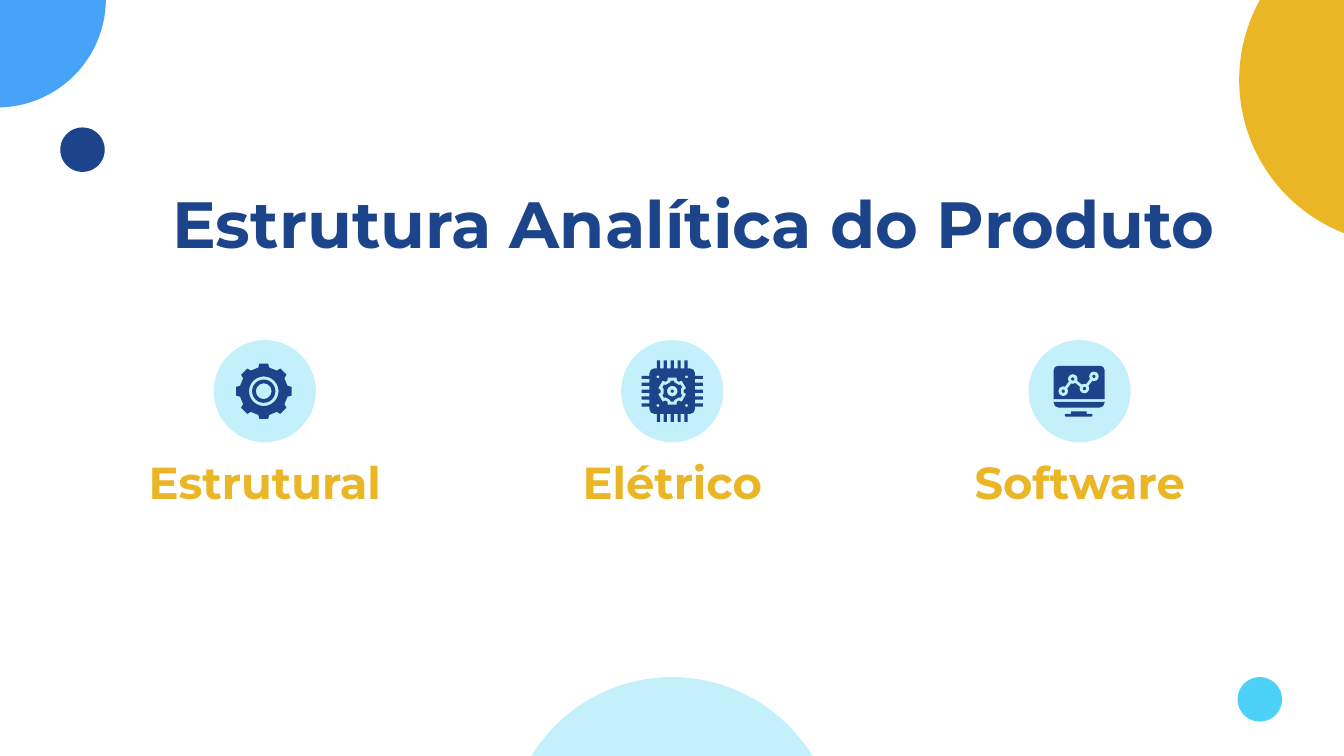
from math import cos, pi, radians, sin

from lxml.etree import SubElement
from pptx import Presentation
from pptx.dml.color import RGBColor as Rgb
from pptx.enum.shapes import MSO_CONNECTOR as Link, MSO_SHAPE as Kind
from pptx.enum.text import MSO_ANCHOR as Anchor, PP_ALIGN as Align
from pptx.oxml.ns import qn
from pptx.util import Cm, Pt

FONT = "Montserrat"
COLORS = {"navy": "1C448A", "gold": "EAB625", "blue": "47A3F7",
          "cyan": "4CD2F8", "pale": "C4F0FD"}


def color(name):
    return Rgb.from_string(COLORS[name])


def paint(shape, name, alpha=None):
    shape.shadow.inherit = False
    shape.fill.solid()
    shape.fill.fore_color.rgb = color(name)
    shape.line.fill.background()
    if alpha:
        tint = shape.fill._xPr.find(".//" + qn("a:srgbClr"))
        SubElement(tint, qn("a:alpha")).set("val", str(alpha * 1000))
    return shape


def disc(slide, x, y, size, name, alpha=None, kind=Kind.OVAL):
    shape = slide.shapes.add_shape(kind, Cm(x), Cm(y), Cm(size), Cm(size))
    return paint(shape, name, alpha)


def label(slide, text, box, size, name):
    frame = slide.shapes.add_textbox(*map(Cm, box)).text_frame
    frame.word_wrap = True
    frame.vertical_anchor = Anchor.MIDDLE
    frame.margin_top = frame.margin_bottom = Cm(0.25)
    frame.text = text
    para = frame.paragraphs[0]
    para.alignment = Align.CENTER
    font = para.runs[0].font
    font.name, font.size, font.bold = FONT, Pt(size), True
    font.color.rgb = color(name)


# Contours: lists of points in cm around the icon centre
def ring(r, x=0, y=0, steps=24):
    turns = [2 * pi * i / steps for i in range(steps)]
    return [(x + r * cos(a), y + r * sin(a)) for a in turns]


def gear(teeth, tip, root, half, base):
    """Teeth reach tip, half and base are their half angles in degrees."""
    step = 360 / teeth
    rim = [(-half, tip), (half, tip), (base, root), (step - base, root)]
    turns = [(radians(i * step + a - 90), r) for i in range(teeth) for a, r in rim]
    return [(r * cos(a), r * sin(a)) for a, r in turns]


def panel(x, y, w, h, top=0, bottom=0):
    """Rectangle with its own corner radius at the top and at the bottom."""
    corners = [(x + w - top, y + top, top, -90),
               (x + w - bottom, y + h - bottom, bottom, 0),
               (x + bottom, y + h - bottom, bottom, 90),
               (x + top, y + top, top, 180)]
    return [(cx + r * cos(radians(a + d)), cy + r * sin(radians(a + d)))
            for cx, cy, r, a in corners for d in ((0, 45, 90) if r else (0,))]


def outline(slide, x, y, *paths):
    """One navy shape; a contour inside another one is a hole."""
    pen = None
    for path in paths:
        dots = [(Cm(x + px), Cm(y + py)) for px, py in path]
        if pen is None:
            pen = slide.shapes.build_freeform(*dots[0])
        else:
            pen.move_to(*dots[0])
        pen.add_line_segments(dots[1:], close=True)
    return paint(pen.convert_to_shape(), "navy")


# Icons, each around the centre x, y
def cog(slide, x, y):
    x -= 0.02
    outline(slide, x, y, gear(8, 0.53, 0.46, 9, 13), ring(0.28))
    band = disc(slide, x - 0.22, y - 0.22, 0.44, "navy", kind=Kind.DONUT)
    band.adjustments[0] = 0.16


def chip(slide, x, y):
    pins = []
    for i in range(-2, 3):
        mid = i * 0.13 - 0.03
        for near in (0.43, -0.58):
            pins.append(panel(mid, near, 0.06, 0.15))
            pins.append(panel(near, mid, 0.15, 0.06))
    holes = [ring(0.03, dx, dy, 6) for dx in (-0.27, 0.27) for dy in (-0.27, 0.27)]
    outline(slide, x, y, panel(-0.43, -0.43, 0.86, 0.86, 0.09, 0.09),
            gear(6, 0.27, 0.22, 18, 24), *holes, *pins)
    outline(slide, x, y, gear(6, 0.2, 0.17, 8, 14), ring(0.1, steps=16))
    disc(slide, x - 0.03, y - 0.03, 0.06, "navy")


def screen(slide, x, y):
    x -= 0.01
    outline(slide, x, y, panel(-0.48, -0.48, 0.96, 0.63, top=0.08),
            panel(-0.48, 0.2, 0.96, 0.11, bottom=0.09),
            panel(-0.15, 0.38, 0.29, 0.05),
            panel(-0.27, 0.43, 0.52, 0.05, 0.02, 0.02))
    # Line graph on the screen
    nodes = [(x + dx, y + dy) for dx, dy in
             [(-0.3, 0), (-0.12, -0.23), (0.1, -0.05), (0.28, -0.28)]]
    for start, end in zip(nodes, nodes[1:]):
        line = slide.shapes.add_connector(Link.STRAIGHT, *map(Cm, start + end))
        line.line.color.rgb = color("pale")
        line.line.width = Pt(1.5)
        SubElement(line._element.spPr, qn("a:effectLst"))
    for r, name in ((0.09, "pale"), (0.03, "navy")):
        for nx, ny in nodes:
            disc(slide, nx - r, ny - r, 2 * r, name)


# Regions
def decor(slide, wide, high):
    big, small = 6.22, 0.84
    disc(slide, (wide - big) / 2, high - 1.49, big, "cyan", 33)
    pie = disc(slide, -2.11, -2.08, 4.11, "blue", kind=Kind.PIE)
    pie.adjustments[0], pie.adjustments[1] = 108, 162
    pie.rotation = 180
    disc(slide, wide - 1.98, -1.6, big, "gold")
    disc(slide, 1.14, 2.41, small, "navy")
    disc(slide, wide - 2.01, high - 1.49, small, "cyan")


def topic(slide, box, text, icon):
    x, y, w, h = box
    size = 1.93
    disc(slide, x + (w - size) / 2, y, size, "cyan", 33)
    icon(slide, x + w / 2, y + size / 2)
    label(slide, text, (x, y + size, w, h - size), 24, "gold")


def main():
    wide, high = 25.4, 14.29
    deck = Presentation()
    deck.slide_width, deck.slide_height = Cm(wide), Cm(high)
    slide = deck.slides.add_slide(deck.slide_layouts[6])
    decor(slide, wide, high)
    label(slide, "Estrutura Analítica do Produto",
          (2.41, 3.4, 21.41, 1.6), 35, "navy")
    topics = [("Estrutural", cog), ("Elétrico", chip), ("Software", screen)]
    for i, (text, icon) in enumerate(topics):
        topic(slide, (1.98 + 7.7 * i, 6.43, 6.05, 3.4), text, icon)
    deck.save("out.pptx")


if __name__ == "__main__":
    main()
